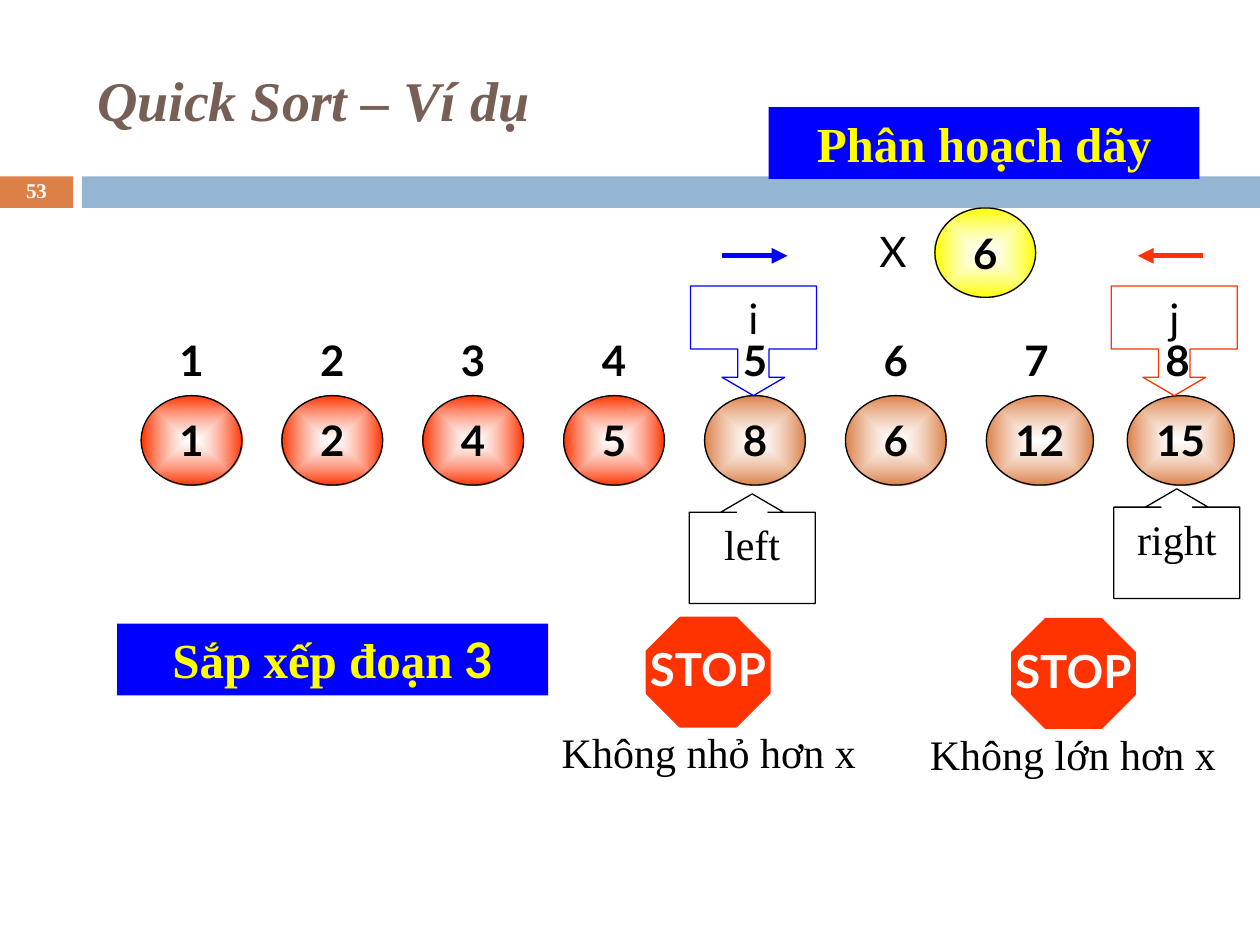
from pptx import Presentation
from pptx.dml.color import RGBColor
from pptx.enum.shapes import MSO_CONNECTOR, MSO_SHAPE
from pptx.enum.text import MSO_ANCHOR, PP_ALIGN
from pptx.oxml import parse_xml
from pptx.oxml.ns import nsdecls, qn
from pptx.util import Inches, Pt

RECTANGLE, OVAL, OCTAGON = MSO_SHAPE.RECTANGLE, MSO_SHAPE.OVAL, MSO_SHAPE.OCTAGON
UP_CALLOUT, DOWN_CALLOUT = MSO_SHAPE.UP_ARROW_CALLOUT, MSO_SHAPE.DOWN_ARROW_CALLOUT
STRAIGHT = MSO_CONNECTOR.STRAIGHT
TOP, MIDDLE = MSO_ANCHOR.TOP, MSO_ANCHOR.MIDDLE
LEFT, CENTER = PP_ALIGN.LEFT, PP_ALIGN.CENTER

BLACK = RGBColor(0x00, 0x00, 0x00)
WHITE = RGBColor(0xFF, 0xFF, 0xFF)
BLUE = RGBColor(0x00, 0x00, 0xFF)
YELLOW = RGBColor(0xFF, 0xFF, 0x00)
RED = RGBColor(0xFF, 0x33, 0x00)
ORANGE = RGBColor(0xDD, 0x80, 0x47)
PALE_BLUE = RGBColor(0x94, 0xB6, 0xD2)
BROWN = RGBColor(0x77, 0x5F, 0x55)
SERIF, SANS = "Times New Roman", "Lato"

BALL_WIDTH, BALL_HEIGHT, BALL_STEP = 0.8, 0.71, 1.118
CALLOUT_WIDTH, CALLOUT_HEIGHT = 1, 0.87


def write(target, text, size, font, color=BLACK, bold=False, align=CENTER,
          anchor=TOP, side_inset=0.1):
    """Put one formatted paragraph into a shape and return the paragraph."""
    frame = target.text_frame
    frame.word_wrap = True
    frame.vertical_anchor = anchor
    frame.margin_left = frame.margin_right = Inches(side_inset)
    frame.margin_top = frame.margin_bottom = Inches(0.05)
    frame.text = text
    paragraph = frame.paragraphs[0]
    paragraph.alignment = align
    for run in paragraph.runs:
        run.font.size = Pt(size)
        run.font.name = font
        run.font.bold = bold
        run.font.color.rgb = color
    return paragraph


def add_label(slide, box, text, size, font, **style):
    """Add a text box and return its paragraph."""
    label = slide.shapes.add_textbox(*map(Inches, box))
    return write(label, text, size, font, **style)


def add_outline(slide, kind, box, fill=None, line=None, weight=0.75):
    """Add a flat preset shape with optional fill and line."""
    shape = slide.shapes.add_shape(kind, *map(Inches, box))
    shape.shadow.inherit = False
    if fill is None:
        shape.fill.background()
    else:
        shape.fill.solid()
        shape.fill.fore_color.rgb = fill
    if line is None:
        shape.line.fill.background()
    else:
        shape.line.color.rgb = line
        shape.line.width = Pt(weight)
    return shape


def add_ball(slide, box, value, color):
    """Add a numbered ball that shades from white at its centre to a colour."""
    ball = add_outline(slide, OVAL, box, line=BLACK)
    properties = ball._element.spPr
    glow = parse_xml(
        f'<a:gradFill {nsdecls("a")} rotWithShape="1"><a:gsLst>'
        f'<a:gs pos="0"><a:srgbClr val="{WHITE}"><a:alpha val="60000"/></a:srgbClr></a:gs>'
        f'<a:gs pos="100000"><a:srgbClr val="{color}"/></a:gs></a:gsLst>'
        '<a:path path="rect"><a:fillToRect l="50000" t="50000" r="50000" b="50000"/>'
        '</a:path></a:gradFill>')
    properties.replace(properties.find(qn("a:noFill")), glow)
    write(ball, value, 24, SANS, bold=True)


def add_heading(slide, left, top):
    """Place the title, the band below it and the page number."""
    title = slide.shapes.title
    title.left, title.top = Inches(left + 0.67), Inches(top + 0.25)
    title.width, title.height = Inches(8.92), Inches(1.08)
    heading = write(title, "Quick Sort – Ví dụ", 32, SERIF, BROWN, True, LEFT, MIDDLE)
    heading.runs[0].font.italic = True
    add_outline(slide, RECTANGLE, (left, top + 1.4, 0.58, 0.25), ORANGE)
    add_outline(slide, RECTANGLE, (left + 0.65, top + 1.4, 9.35, 0.25), PALE_BLUE)
    number = add_label(slide, (left, top + 1.39, 0.58, 0.27), "53", 12, SERIF,
                       color=WHITE, bold=True, anchor=MIDDLE)
    number.line_spacing = 0.8


def add_pivot(slide, left, top):
    """Place the pivot's label and ball."""
    add_ball(slide, (left + 0.54, top, BALL_WIDTH, BALL_HEIGHT), "6", YELLOW)
    add_label(slide, (left, top + 0.09, 0.42, 0.5), "X", 24, SANS, align=LEFT)


def add_sequence(slide, left, top, values, sorted_count):
    """Place the balls of the sequence under their positions."""
    for index, value in enumerate(values):
        x = left + index * BALL_STEP
        position = add_outline(slide, OVAL, (x, top, BALL_WIDTH, BALL_HEIGHT))
        write(position, str(index + 1), 24, SANS, bold=True)
        width = BALL_WIDTH if value < 10 else 0.85
        color = RED if index < sorted_count else ORANGE
        add_ball(slide, (x, top + 0.64, width, BALL_HEIGHT), str(value), color)


def add_callout(slide, kind, left, top, text, font, color, body_share):
    """Place an arrow callout around a marker name."""
    callout = add_outline(slide, kind, (left, top, CALLOUT_WIDTH, CALLOUT_HEIGHT), line=color)
    for index, ratio in enumerate((0.286, 0.286, 0.167, body_share)):
        callout.adjustments[index] = ratio
    write(callout, text, 24, font)


def add_index(slide, left, top, name, color, start, end):
    """Place an index callout and the arrow for its direction."""
    add_callout(slide, DOWN_CALLOUT, left, top + 0.24, name, SANS, color, 0.575)
    arrow = slide.shapes.add_connector(
        STRAIGHT, Inches(left + start), Inches(top), Inches(left + end), Inches(top))
    arrow.line.color.rgb = color
    arrow.line.width = Pt(3)
    arrow.line._get_or_add_ln().append(parse_xml(f'<a:tailEnd {nsdecls("a")} type="triangle"/>'))
    arrow._element.spPr.append(parse_xml(f'<a:effectLst {nsdecls("a")}/>'))


def add_stop(slide, sign_left, caption_left, top, caption):
    """Place a stop sign above its reason."""
    sign = add_outline(slide, OCTAGON, (sign_left, top, 0.96, 0.85), RED, RED, 2.25)
    sign.adjustments[0] = 0.307
    write(sign, "STOP", 26, SANS, WHITE, True, side_inset=0)
    sign.text_frame.word_wrap = False
    add_label(slide, (caption_left, top + 0.81, 2.97, 0.5), caption, 24, SERIF, side_inset=0)


def add_banner(slide, left, top, text):
    """Place a blue banner and return its paragraph."""
    banner = add_outline(slide, RECTANGLE, (left, top, 3.42, 0.57), BLUE)
    return write(banner, text, 28, SERIF, YELLOW, True)


def main():
    """Build the slide and save it."""
    presentation = Presentation()
    presentation.slide_width, presentation.slide_height = Inches(10), Inches(7.5)
    slide = presentation.slides.add_slide(presentation.slide_layouts[5])
    add_heading(slide, 0, 0)
    add_pivot(slide, 6.88, 1.65)
    add_sequence(slide, 1.12, 2.5, (1, 2, 4, 5, 8, 6, 12, 15), 4)
    add_callout(slide, UP_CALLOUT, 5.47, 3.92, "left", SERIF, BLACK, 0.851)
    add_callout(slide, UP_CALLOUT, 8.84, 3.88, "right", SERIF, BLACK, 0.851)
    add_index(slide, 5.48, 2.03, "i", BLUE, 0.25, 0.77)
    add_index(slide, 8.82, 2.03, "j", RED, 0.73, 0.21)
    add_stop(slide, 5.14, 4.14, 4.91, "Không nhỏ hơn x")
    add_stop(slide, 8.04, 7.03, 4.92, "Không lớn hơn x")
    segment = add_banner(slide, 0.93, 4.95, "Sắp xếp đoạn")
    segment_number = segment.add_run()
    segment_number.text = " 3"
    segment_number.font.size = Pt(28)
    segment_number.font.name = SANS
    segment_number.font.bold = True
    segment_number.font.color.rgb = YELLOW
    add_banner(slide, 6.1, 0.85, "Phân hoạch dãy")
    presentation.save("out.pptx")


if __name__ == "__main__":
    main()
